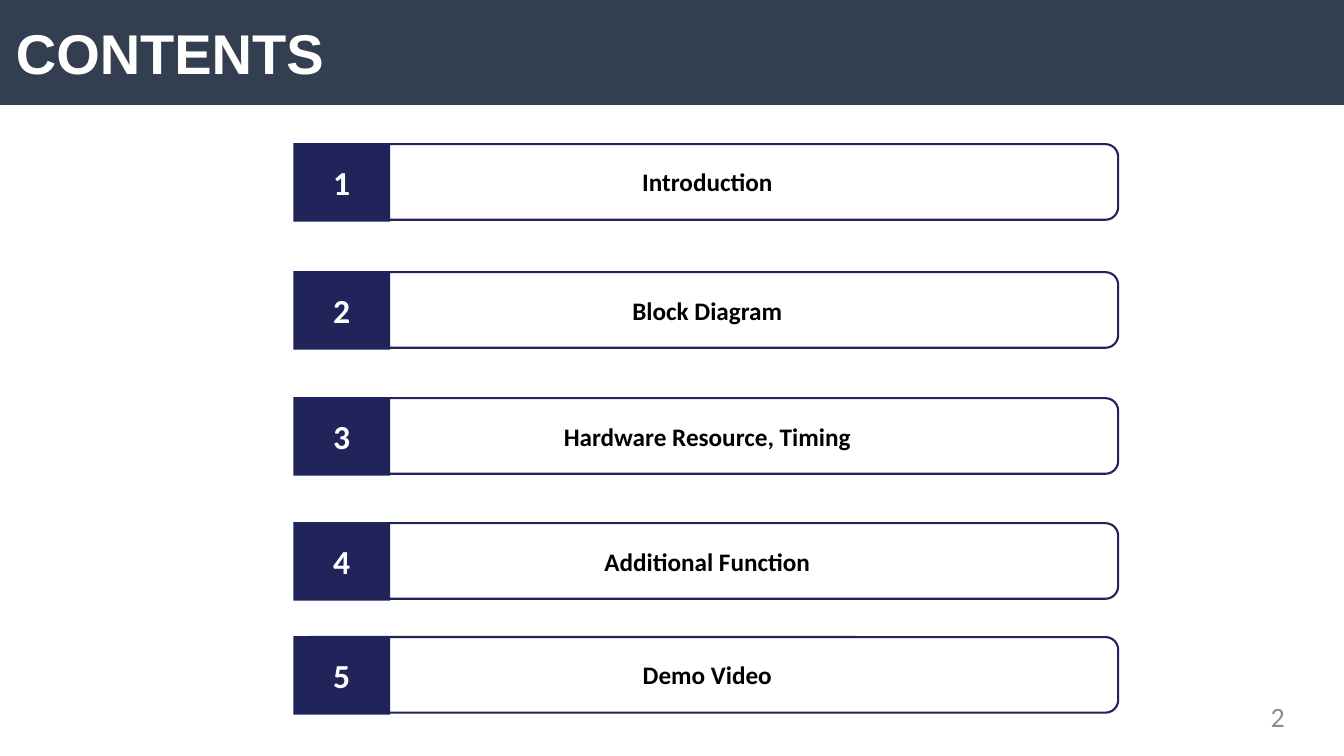
from pptx import Presentation
from pptx.dml.color import RGBColor
from pptx.enum.shapes import MSO_SHAPE as Shape
from pptx.enum.text import MSO_ANCHOR as Anchor, PP_ALIGN as Align
from pptx.util import Inches, Pt

TITLE = "CONTENTS"
PAGE_NUMBER = "2"
SECTIONS = [
    ("Introduction", 1.42),
    ("Block Diagram", 2.69),
    ("Hardware Resource, Timing", 3.94),
    ("Additional Function", 5.18),
    ("Demo Video", 6.31),
]
SLATE, NAVY, WHITE, BLACK, GRAY = "333F50", "20245B", "FFFFFF", "000000", "8C8C8C"
SLIDE_WIDTH, SLIDE_HEIGHT = 13.33, 7.5


def color(value):
    return RGBColor.from_string(value)


def write(shape, text, size, text_color, font="Calibri", bold=True,
          align=Align.CENTER, anchor=Anchor.MIDDLE):
    frame = shape.text_frame
    frame.word_wrap = True
    frame.vertical_anchor = anchor
    paragraph = frame.paragraphs[0]
    paragraph.text = text
    paragraph.alignment = align
    paragraph.font.name = font
    paragraph.font.size = Pt(size)
    paragraph.font.bold = bold
    paragraph.font.color.rgb = color(text_color)


def add_box(shapes, kind, place, fill=None, line=None):
    shape = shapes.add_shape(kind, *map(Inches, place))
    shape.shadow.inherit = False
    if fill:
        shape.fill.solid()
        shape.fill.fore_color.rgb = color(fill)
    else:
        shape.fill.background()
    if line:
        shape.line.color.rgb = color(line)
        shape.line.width = Pt(1.5)
    else:
        shape.line.fill.background()
    return shape


def add_section(slide, number, name, top):
    shapes = slide.shapes.add_group_shape().shapes
    badge = add_box(shapes, Shape.RECTANGLE, (2.91, top, 0.96, 0.78), fill=NAVY)
    write(badge, str(number), 24, WHITE)
    bar = add_box(shapes, Shape.ROUNDED_RECTANGLE,
                  (2.94, top + 0.01, 8.15, 0.75), line=NAVY)
    write(bar, name, 18, BLACK)


def main():
    presentation = Presentation()
    presentation.slide_width = Inches(SLIDE_WIDTH)
    presentation.slide_height = Inches(SLIDE_HEIGHT)
    slide = presentation.slides.add_slide(presentation.slide_layouts[6])

    add_box(slide.shapes, Shape.RECTANGLE, (0, 0, SLIDE_WIDTH, 1.04), fill=SLATE)
    title = slide.shapes.add_textbox(*map(Inches, (0.06, 0.13, 13.01, 0.77)))
    write(title, TITLE, 40, WHITE, font="Arial", align=Align.LEFT, anchor=Anchor.TOP)

    for number, (name, top) in enumerate(SECTIONS, 1):
        add_section(slide, number, name, top)

    page = slide.shapes.add_textbox(*map(Inches, (10.59, 6.91, 2.25, 0.4)))
    write(page, PAGE_NUMBER, 20, GRAY, bold=False, align=Align.RIGHT)

    presentation.save("out.pptx")


if __name__ == "__main__":
    main()
